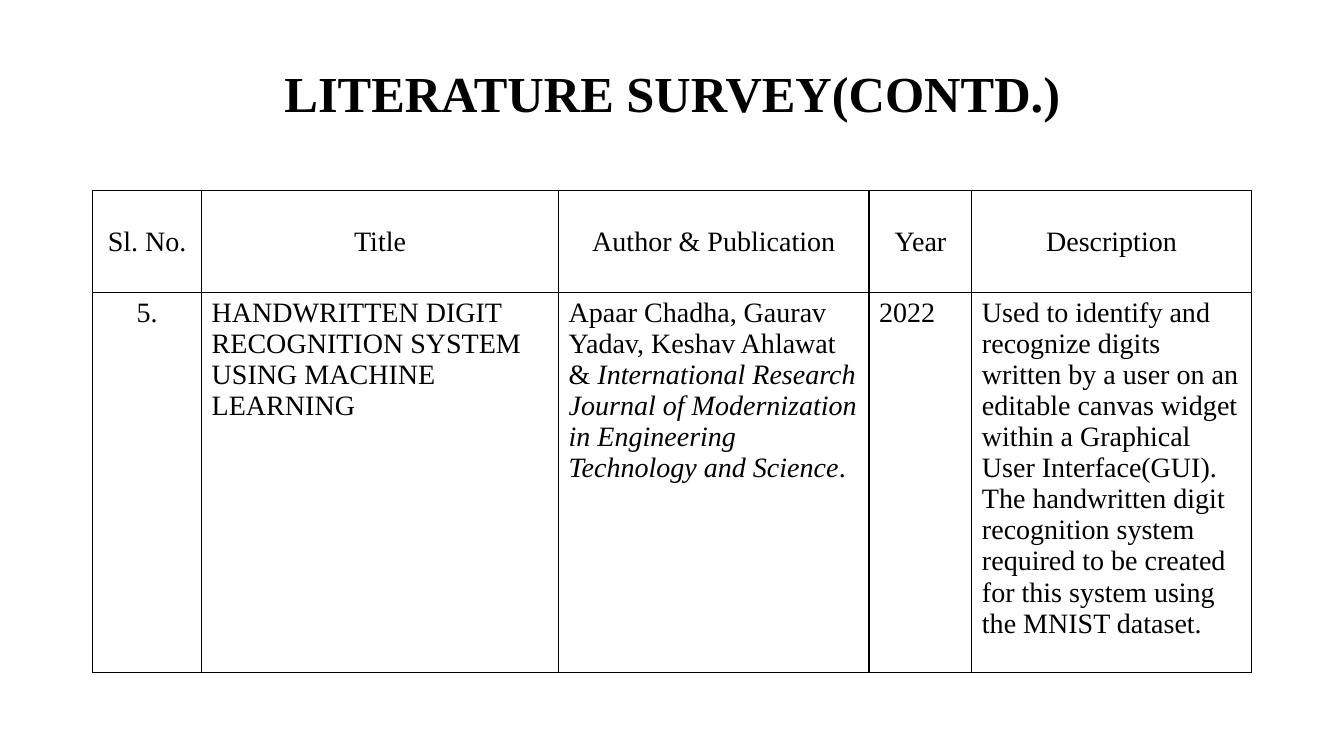
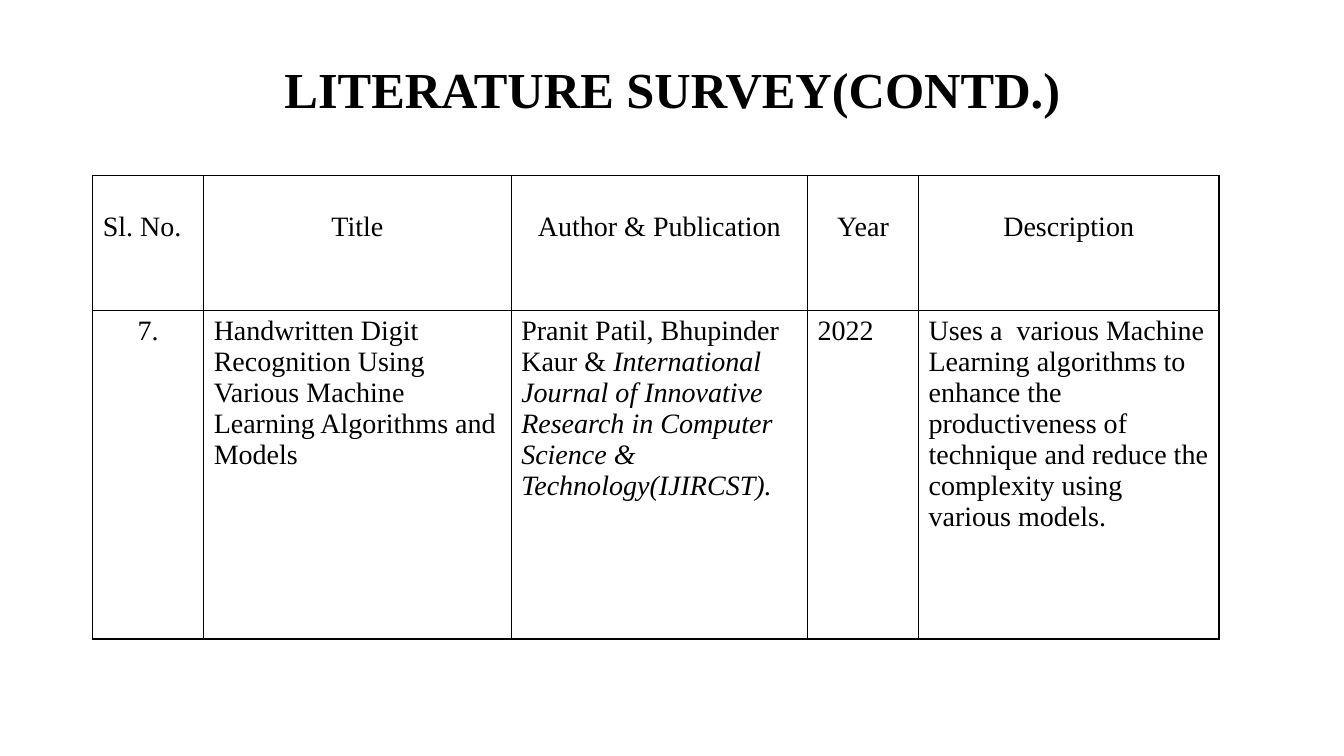
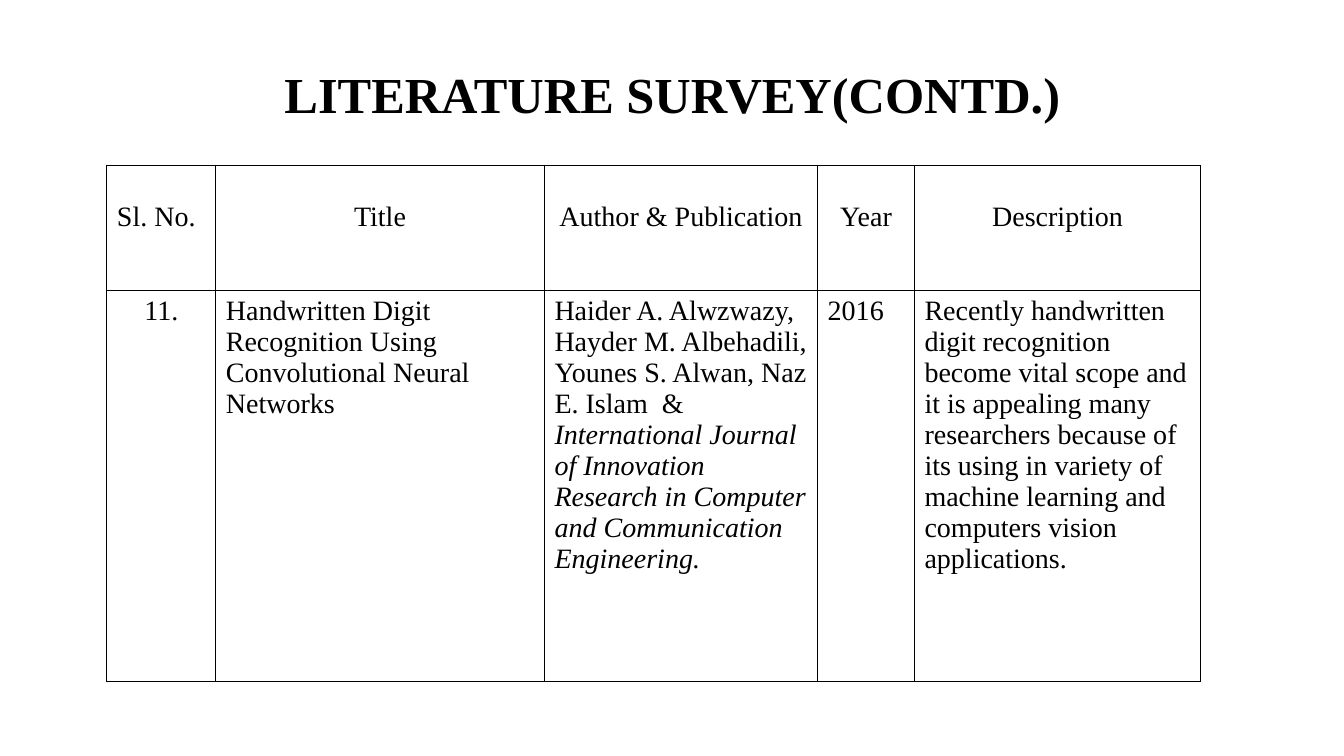
from lxml.etree import SubElement
from pptx import Presentation
from pptx.dml.color import RGBColor
from pptx.enum.text import MSO_ANCHOR as Anchor, PP_ALIGN as Align
from pptx.oxml.ns import qn
from pptx.util import Inches, Pt

COLORS = {"ink": "000000", "border": "000000", "background": "FFFFFF"}
FONT = "Times New Roman"
TITLE_FORMAT = {"name": FONT, "size": Pt(36), "bold": True}
CELL_FORMAT = {"name": FONT, "size": Pt(20), "bold": False}
TITLE = "LITERATURE SURVEY(CONTD.)"
HEADERS = ["Sl. No.", "Title", "Author & Publication", "Year", "Description"]
HEADER_TOP_MARGIN = Inches(0.36)
BORDER_WIDTH = Pt(1)

SURVEYS = [
    {
        "title_height": 1.1,
        "table_at": (0.92, 1.89),
        "columns": [1.08, 3.54, 3.08, 1.02, 2.77],
        "rows": [1.01, 3.1],
        "number_header": Align.CENTER,
        "entry": [
            ["5."],
            ["HANDWRITTEN DIGIT RECOGNITION SYSTEM USING MACHINE LEARNING"],
            ["Apaar Chadha, Gaurav Yadav, Keshav Ahlawat  & ",
             "International Research Journal of Modernization in Engineering "
             "Technology and Science", "."],
            ["2022"],
            ["Used to identify and recognize digits written by a user on an editable "
             "canvas widget within a Graphical User Interface(GUI). The handwritten "
             "digit recognition system required to be created for this system using "
             "the MNIST dataset."],
        ],
    },
    {
        "title_height": 1.02,
        "table_at": (0.92, 1.74),
        "columns": [1.1, 3.05, 2.94, 1.1, 2.98],
        "rows": [1.34, 3.26],
        "number_header": Align.LEFT,
        "entry": [
            ["7."],
            ["Handwritten Digit Recognition Using Various Machine Learning "
             "Algorithms and Models"],
            ["Pranit Patil, Bhupinder Kaur & ",
             "International Journal of Innovative Research in Computer Science & "
             "Technology(IJIRCST)."],
            ["2022"],
            ["Uses a  various Machine Learning algorithms to enhance the productiveness "
             "of technique and reduce the complexity using various models."],
        ],
    },
    {
        "title_height": 1.12,
        "table_at": (1.06, 1.64),
        "columns": [1.08, 3.26, 2.71, 0.96, 2.84],
        "rows": [1.24, 3.88],
        "number_header": Align.LEFT,
        "entry": [
            ["11."],
            ["Handwritten Digit Recognition Using Convolutional Neural Networks"],
            ["Haider A. Alwzwazy, Hayder M. Albehadili, Younes S. Alwan, Naz E. Islam  & ",
             "International Journal of Innovation Research in Computer and "
             "Communication Engineering."],
            ["2016"],
            ["Recently handwritten digit recognition become vital scope and it is "
             "appealing many researchers because of its using in variety of machine "
             "learning and computers vision applications."],
        ],
    },
]


def add_run(paragraph, text, formats, italic=False):
    """Append a run with the given font values."""
    run = paragraph.add_run()
    run.text = text
    for name, value in {**formats, "italic": italic}.items():
        setattr(run.font, name, value)
    run.font.color.rgb = RGBColor.from_string(COLORS["ink"])


def add_title(slide, left, top, width, height):
    """Place the centred slide title in the given box."""
    frame = slide.shapes.add_textbox(left, top, width, height).text_frame
    frame.word_wrap = True
    frame.vertical_anchor = Anchor.MIDDLE
    paragraph = frame.paragraphs[0]
    paragraph.alignment = Align.CENTER
    paragraph.line_spacing = 0.9
    add_run(paragraph, TITLE, TITLE_FORMAT)


def add_borders(cell):
    """Draw a solid line on all four sides of a cell."""
    properties = cell._tc.get_or_add_tcPr()
    for side in ("a:lnL", "a:lnR", "a:lnT", "a:lnB"):
        line = SubElement(properties, qn(side), w=str(BORDER_WIDTH))
        fill = SubElement(line, qn("a:solidFill"))
        SubElement(fill, qn("a:srgbClr"), val=COLORS["border"])


def fill_cell(cell, texts, alignment):
    """Write a cell whose every second text is italic."""
    add_borders(cell)
    cell.fill.background()
    paragraph = cell.text_frame.paragraphs[0]
    paragraph.alignment = alignment
    for index, text in enumerate(texts):
        add_run(paragraph, text, CELL_FORMAT, italic=index % 2 == 1)


def add_survey_table(slide, left, top, survey):
    """Place a header row and one survey entry at the given corner."""
    widths = [Inches(width) for width in survey["columns"]]
    heights = [Inches(height) for height in survey["rows"]]
    table = slide.shapes.add_table(
        len(heights), len(widths), left, top, sum(widths), sum(heights)).table
    table.first_row = False
    table.horz_banding = False
    for row, height in zip(table.rows, heights):
        row.height = height
    for index, width in enumerate(widths):
        table.columns[index].width = width
        header, entry = table.cell(0, index), table.cell(1, index)
        header.margin_top = HEADER_TOP_MARGIN
        is_number = index == 0
        fill_cell(header, [HEADERS[index]],
                  survey["number_header"] if is_number else Align.CENTER)
        fill_cell(entry, survey["entry"][index],
                  Align.CENTER if is_number else Align.LEFT)


def add_survey_slide(presentation, survey):
    """Add one literature survey slide."""
    slide = presentation.slides.add_slide(presentation.slide_layouts[6])
    slide.background.fill.solid()
    slide.background.fill.fore_color.rgb = RGBColor.from_string(COLORS["background"])
    add_title(slide, Inches(0.92), Inches(0.4), Inches(11.5),
              Inches(survey["title_height"]))
    left, top = survey["table_at"]
    add_survey_table(slide, Inches(left), Inches(top), survey)


def main():
    """Build and save the presentation."""
    presentation = Presentation()
    presentation.slide_width = Inches(13.33)
    presentation.slide_height = Inches(7.5)
    for survey in SURVEYS:
        add_survey_slide(presentation, survey)
    presentation.save("out.pptx")


main()
